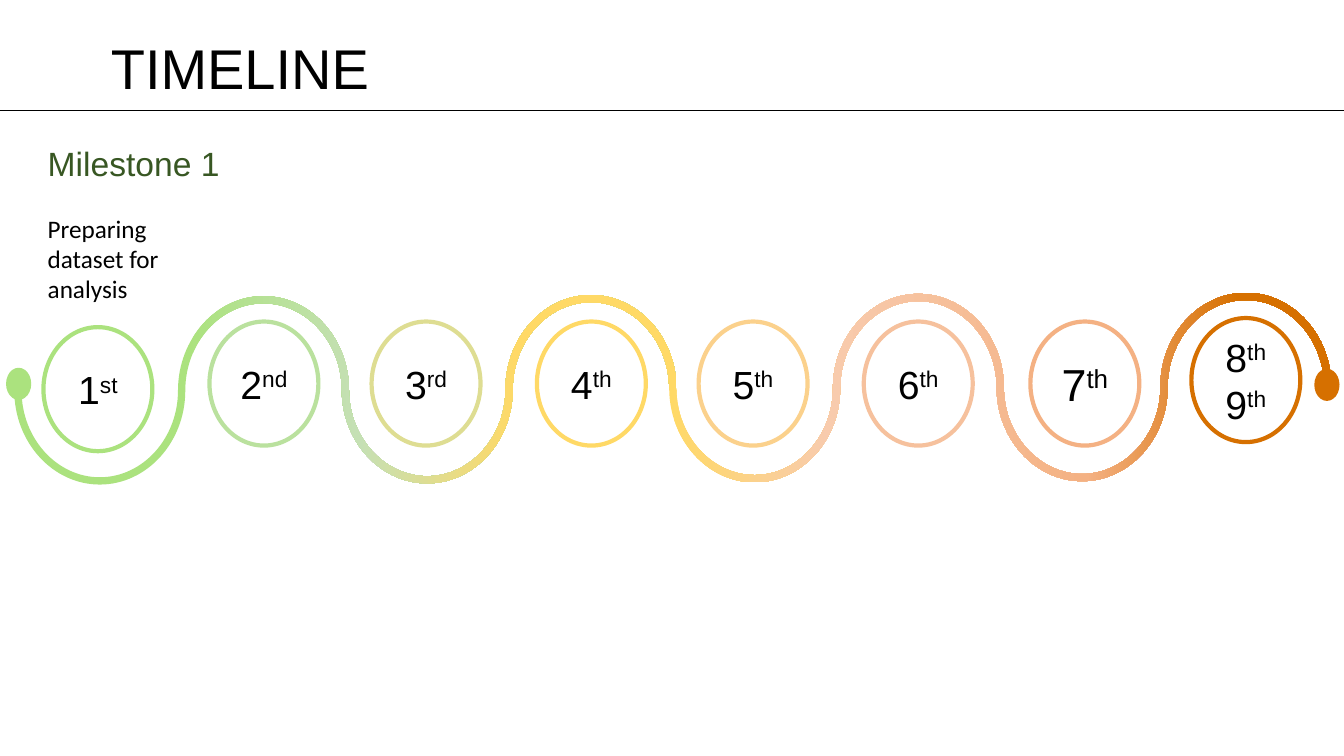
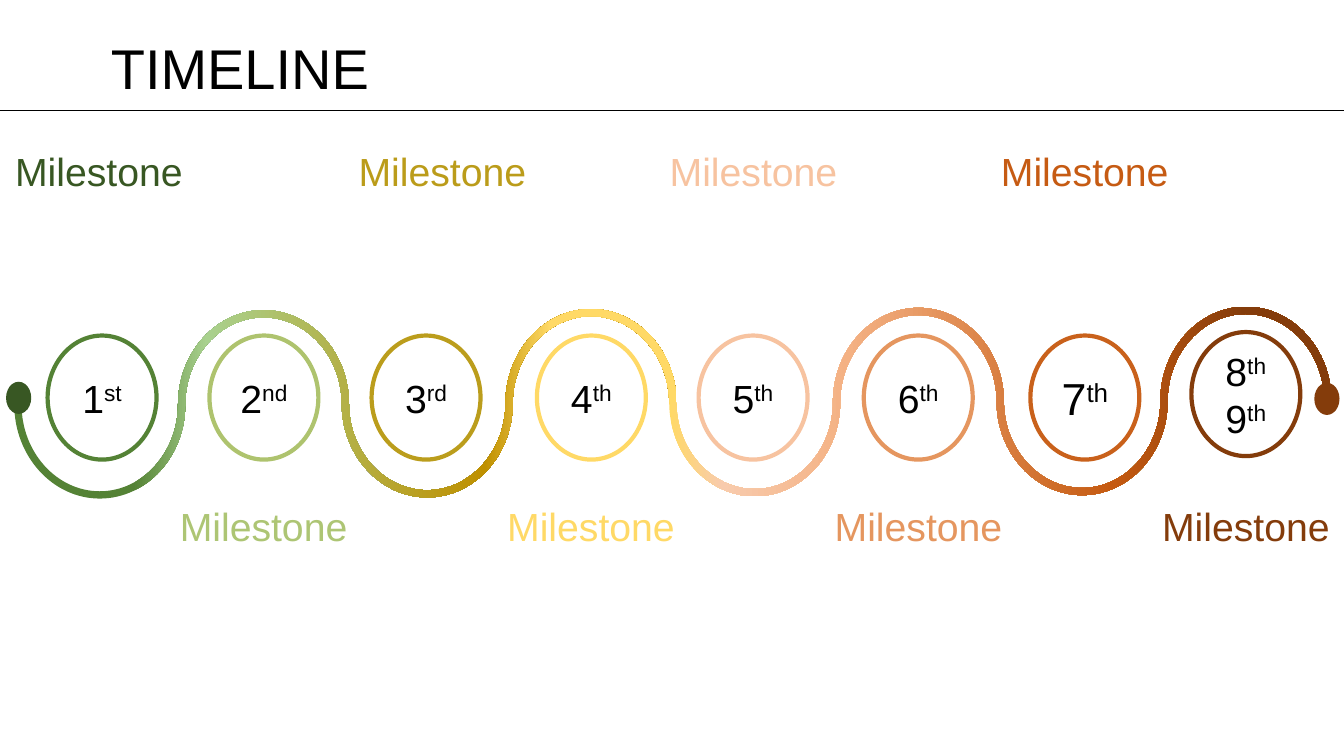
from lxml.etree import SubElement
from pptx import Presentation
from pptx.dml.color import RGBColor as Rgb
from pptx.enum.shapes import MSO_CONNECTOR as Link, MSO_SHAPE as Kind
from pptx.enum.text import MSO_ANCHOR as Anchor, MSO_AUTO_SIZE as Fit, PP_ALIGN as Align
from pptx.oxml.ns import qn
from pptx.util import Pt

WIDE, HIGH = 960, 540
TINTS = {
    "black": "000000", "white": "FFFFFF",
    "lime": "ABE27E", "mint": "BAE19E", "pale": "C5E0B4", "straw": "DEDD92",
    "sun": "FFD966", "sand": "FBD18C", "blush": "F8CBAD", "peach": "F6C19D",
    "coral": "F4B183", "orange": "D67000",
    "pine": "385723", "leaf": "548235", "fern": "A9D18E", "moss": "AEC36E",
    "sage": "ADC574", "gold": "BF9000", "brass": "BB9D1C", "ochre": "BB9C1A",
    "rose": "F7C3A0", "clay": "E5965F", "rust": "C9611B", "brick": "C65B13",
    "ember": "C55A11", "brown": "843C0B",
}
STEPS = ("1^st", "2^nd", "3^rd", "4^th", "5^th", "6^th", "7^th", "8^th\n9^th")
LEFTS = (34, 149.6, 265.4, 383.5, 499, 617, 736, 851)
RING_W, RING_H = 77.8, 88.6
FIRST, PITCH = 71.3, 116.95  # centre of the first arc, gap between arcs
ARC_H, HALF = 64.5, 2.6      # arc height and half the thickness of the wave
MID, DROP = 70, 0.4          # base line of the wave and its rise per arc
BEND = 0.55                  # handle length of a quarter ellipse
ARC = ((-1, BEND), (-BEND, 1), (0, 1), (BEND, 1), (1, BEND), (1, 0))


def rgb(name):
    return Rgb.from_string(TINTS[name])


def write(frame, text, size=28, color="black", font="Arial", align=Align.LEFT, before=0):
    """Add a paragraph per line; what follows ^ is superscript."""
    for line in text.split("\n"):
        para = frame.paragraphs[-1]
        if para.runs:
            para = frame.add_paragraph()
        para.alignment = align
        para.space_before = Pt(before)
        for spot, part in enumerate(line.split("^")):
            run = para.add_run()
            run.text = part
            run.font.size, run.font.name = Pt(size), font
            run.font.color.rgb = rgb(color)
            if spot:
                run._r.get_or_add_rPr().set("baseline", "30000")


def label(slide, left, top, width, height):
    frame = slide.shapes.add_textbox(Pt(left), Pt(top), Pt(width), Pt(height)).text_frame
    frame.word_wrap = True
    return frame


def oval(slide, left, top, width, height, fill, line=None):
    shape = slide.shapes.add_shape(Kind.OVAL, Pt(left), Pt(top), Pt(width), Pt(height))
    shape.shadow.inherit = False
    shape.fill.solid()
    shape.fill.fore_color.rgb = rgb(fill)
    if line:
        shape.line.color.rgb = rgb(line)
        shape.line.width = Pt(3)
    else:
        shape.line.fill.background()
    return shape


def blend(shape, stops):
    """Fill from left to right with (percent, colour) stops."""
    shape.fill.gradient()
    shape.fill.gradient_angle = 0
    marks = shape._element.spPr.find(qn("a:gradFill")).find(qn("a:gsLst"))
    marks.clear()
    for place, name in stops:
        mark = SubElement(marks, qn("a:gs"), pos=str(place * 1000))
        SubElement(mark, qn("a:srgbClr"), val=TINTS[name])


def edge(top, arcs, side):
    """Curve points along one edge of the wave: even arcs hang, odd arcs rise."""
    points = []
    for arc in arcs:
        way = -1 if arc % 2 else 1
        grow = -way * side * HALF
        for dx, dy in ARC if points else ((-1, 0), *ARC):
            x = FIRST + arc * PITCH + (PITCH / 2 + grow) * dx
            y = top + MID - arc * DROP + way * (ARC_H + grow) * dy
            points.append((Pt(x), Pt(y)))
    return points


def curve(outline, lines):
    """Turn each three line segments of the outline into one curve."""
    for spot in range(0, len(lines), 3):
        trio = lines[spot:spot + 3]
        bend = SubElement(outline, qn("a:cubicBezTo"))
        trio[0].addprevious(bend)
        for line in trio:
            bend.append(line[0])
            outline.remove(line)


def wave(slide, top, arcs, stops):
    there, back = edge(top, arcs, 1), edge(top, arcs, -1)[::-1]
    build = slide.shapes.build_freeform(*there[0])
    build.add_line_segments(there[1:] + back, close=True)
    shape = build.convert_to_shape()
    outline = shape._element.spPr.find(".//" + qn("a:path"))
    lines = outline.findall(qn("a:lnTo"))
    turn = len(there) - 1
    curve(outline, lines[:turn])
    curve(outline, lines[turn + 1:])
    shape.shadow.inherit = False
    shape.line.fill.background()
    blend(shape, stops)


def timeline(slide, top, waves, ends, rings, nudge=(0, 0)):
    """Draw waves, end dots and numbered rings; nudge moves the first ring."""
    for half, stops in enumerate(waves):
        wave(slide, top, range(4 * half, 4 * half + 4), stops)
    for left, drop, name in zip((4.3, 938.8), (53.7, 54.4), ends):
        oval(slide, left, top + drop, 18, 23, name)
    for spot, (step, left, name) in enumerate(zip(STEPS, LEFTS, rings)):
        dx, dy = nudge if spot == 0 else (0, -2.5 if spot == 7 else 0)
        ring = oval(slide, left + dx, top + 20.7 + dy, RING_W, RING_H, "white", name)
        frame = ring.text_frame
        frame.vertical_anchor = Anchor.MIDDLE
        write(frame, step, size=32 if spot == 6 else 28, align=Align.CENTER)


def header(slide, text):
    title = slide.shapes.title
    title.left, title.top, title.width, title.height = Pt(72), Pt(20.5), Pt(888), Pt(55)
    frame = title.text_frame
    frame.auto_size = Fit.NONE
    frame.vertical_anchor = Anchor.TOP
    write(frame, text, size=40)
    rule = slide.shapes.add_connector(Link.STRAIGHT, 0, Pt(79), Pt(WIDE), Pt(79))
    rule.line.color.rgb = rgb("black")
    rule.line.width = Pt(1)
    SubElement(rule._element.spPr, qn("a:effectLst"))


def start(deck):
    slide = deck.slides.add_slide(deck.slide_layouts[5])
    header(slide, "TIMELINE")
    return slide


def detail(deck):
    slide = start(deck)
    timeline(
        slide, 209,
        waves=(((26, "lime"), (52, "pale"), (76, "sun")),
               ((0, "sun"), (24, "blush"), (63, "coral"), (86, "orange"))),
        ends=("lime", "orange"),
        rings=("lime", "mint", "straw", "sun", "sand", "peach", "coral", "orange"),
        nudge=(-3, 4),
    )
    frame = label(slide, 27, 98.5, 139, 145)
    write(frame, "Milestone 1", size=24, color="pine")
    write(frame, "Preparing dataset for analysis", size=18, font="Calibri", before=21.5)


def overview(deck):
    slide = start(deck)
    top = 219
    timeline(
        slide, top,
        waves=(((18, "leaf"), (29, "fern"), (71, "gold"), (81, "sun")),
               ((0, "sun"), (8, "blush"), (27, "coral"), (67, "ember"), (87, "brown"))),
        ends=("pine", "brown"),
        rings=("leaf", "moss", "brass", "sun", "rose", "clay", "rust", "brown"),
    )
    upper = zip((70.6, 316, 538.2, 774.8), ("pine", "ochre", "rose", "brick"))
    lower = zip((FIRST + arc * PITCH for arc in (1, 3, 5, 7)),
                ("sage", "sun", "clay", "brown"))
    for row, drop in ((upper, -117.5), (lower, 136.3)):
        for mid, name in row:
            frame = label(slide, mid - 69, top + drop, 138, 41)
            write(frame, "Milestone", color=name, align=Align.CENTER)


def main():
    deck = Presentation()
    deck.slide_width, deck.slide_height = Pt(WIDE), Pt(HIGH)
    detail(deck)
    overview(deck)
    deck.save("out.pptx")


if __name__ == "__main__":
    main()
